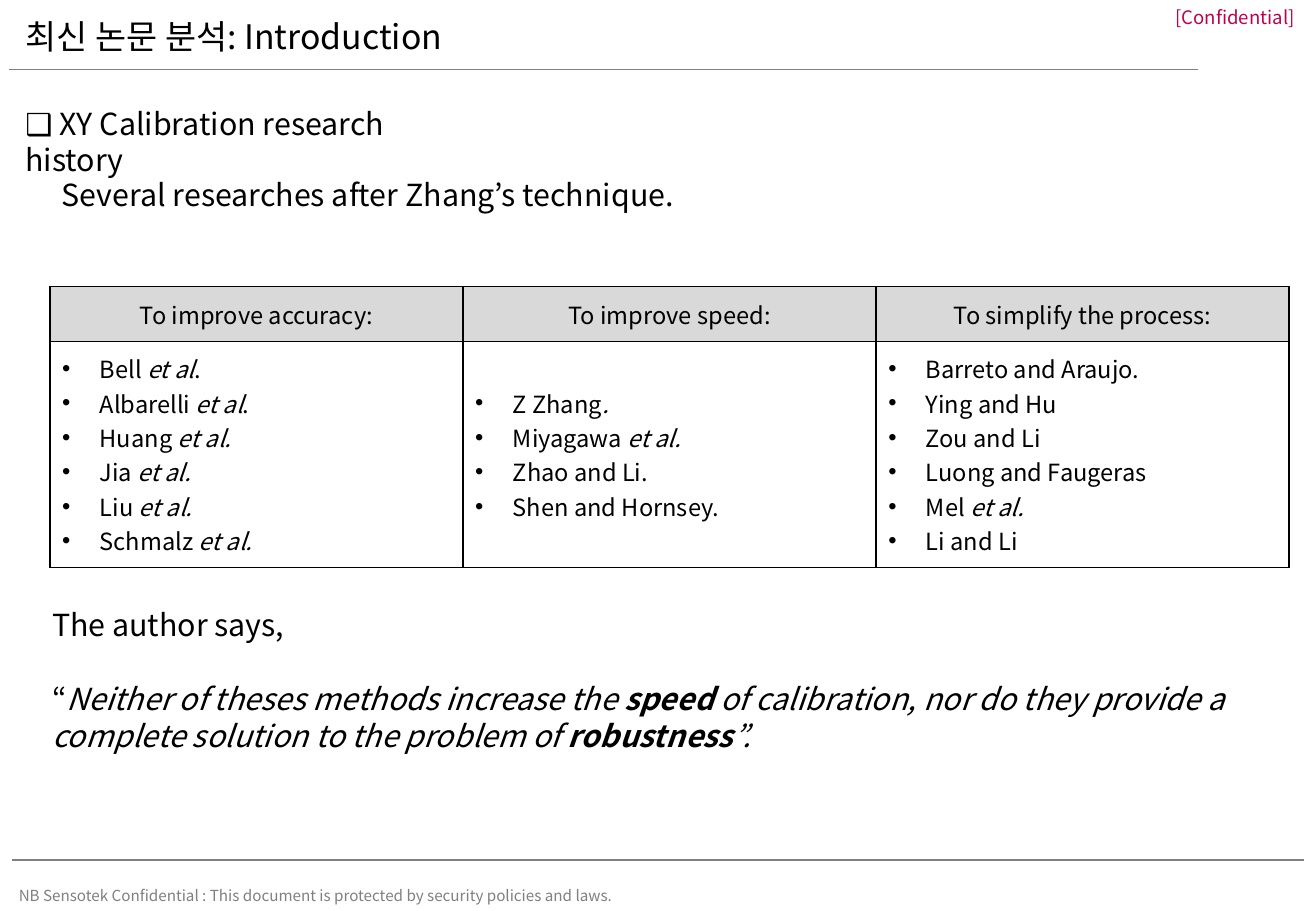
from dataclasses import dataclass

from lxml import etree
from pptx import Presentation
from pptx.dml.color import RGBColor
from pptx.enum.shapes import MSO_CONNECTOR
from pptx.enum.text import MSO_ANCHOR, MSO_AUTO_SIZE, PP_ALIGN
from pptx.oxml.ns import qn
from pptx.util import Inches, Pt

LEFT, CENTER, RIGHT = PP_ALIGN.LEFT, PP_ALIGN.CENTER, PP_ALIGN.RIGHT
TOP, MIDDLE = MSO_ANCHOR.TOP, MSO_ANCHOR.MIDDLE
STRAIGHT = MSO_CONNECTOR.STRAIGHT
NO_FIT = MSO_AUTO_SIZE.NONE
TITLE_ONLY = 5


@dataclass(frozen=True)
class Theme:
    font: str = "Noto Sans CJK KR"
    ink: str = "000000"
    grey: str = "808080"
    accent: str = "C0004B"
    header: str = "D9D9D9"
    title: float = 20
    body: float = 18
    cell: float = 14
    tag: float = 11
    footer: float = 9
    body_pitch: float = 21.8
    cell_pitch: float = 20.4
    bullet_indent: float = 0.31


class Deck:
    """Positions are percentages of the slide's width and height."""

    def __init__(self, theme, width, height):
        self.theme = theme
        self.prs = Presentation()
        self.prs.slide_width, self.prs.slide_height = Inches(width), Inches(height)
        self.slide = self.prs.slides.add_slide(self.prs.slide_layouts[TITLE_ONLY])

    def x(self, share):
        return round(self.prs.slide_width * share / 100)

    def y(self, share):
        return round(self.prs.slide_height * share / 100)

    def box(self, x, y, w, h):
        return self.x(x), self.y(y), self.x(w), self.y(h)

    def style(self, r, size, color):
        r.font.size = Pt(size)
        r.font.name = self.theme.font
        r.font.color.rgb = RGBColor.from_string(color)
        etree.SubElement(r.font._element, qn("a:ea"), typeface=self.theme.font)

    def fill_paragraph(self, p, text, size, color, align=LEFT, pitch=None):
        """Underscores toggle italic, asterisks toggle bold."""
        p.alignment = align
        if pitch:
            p.line_spacing = Pt(pitch)
        for i, part in enumerate(text.split("_")):
            for j, piece in enumerate(part.split("*")):
                if piece:
                    r = p.add_run()
                    r.text = piece
                    self.style(r, size, color)
                    r.font.italic, r.font.bold = i % 2 == 1, j % 2 == 1

    def title(self, text, *place):
        sp = self.slide.shapes.title
        sp.left, sp.top, sp.width, sp.height = self.box(*place)
        tf = sp.text_frame
        tf.auto_size, tf.vertical_anchor = NO_FIT, MIDDLE
        p = tf.paragraphs[0]
        self.fill_paragraph(p, text, self.theme.title, self.theme.ink)
        p.line_spacing = 0.9

    def text(self, lines, *place, gap=0):
        tf = self.slide.shapes.add_textbox(*self.box(*place)).text_frame
        tf.word_wrap, tf.vertical_anchor = True, TOP
        t = self.theme
        for i, line in enumerate(lines):
            p = tf.add_paragraph() if i else tf.paragraphs[0]
            self.fill_paragraph(p, line, t.body, t.ink, pitch=t.body_pitch)
            if i:
                p.space_before = Pt(gap)

    def label(self, text, size, color, align, *place):
        tf = self.slide.shapes.add_textbox(*self.box(*place)).text_frame
        tf.word_wrap, tf.vertical_anchor = True, MIDDLE
        tf.margin_left = tf.margin_right = tf.margin_top = tf.margin_bottom = 0
        self.fill_paragraph(tf.paragraphs[0], text, size, color, align)

    def rule(self, x1, x2, y, weight):
        line = self.slide.shapes.add_connector(
            STRAIGHT, self.x(x1), self.y(y), self.x(x2), self.y(y))
        line.line.color.rgb = RGBColor.from_string(self.theme.grey)
        line.line.width = Pt(weight)
        etree.SubElement(line._element.spPr, qn("a:effectLst"))

    def bullet(self, p):
        pPr = p._p.get_or_add_pPr()
        indent = Inches(self.theme.bullet_indent)
        pPr.set("marL", str(indent))
        pPr.set("indent", str(-indent))
        etree.SubElement(pPr, qn("a:buFont"), typeface="Arial")
        etree.SubElement(pPr, qn("a:buChar"), char="•")

    def borders(self, cell):
        tcPr = cell._tc.get_or_add_tcPr()
        for i, side in enumerate(("lnL", "lnR", "lnT", "lnB")):
            ln = etree.Element(qn(f"a:{side}"), w=str(Pt(1)))
            fill = etree.SubElement(ln, qn("a:solidFill"))
            etree.SubElement(fill, qn("a:srgbClr"), val=self.theme.ink)
            tcPr.insert(i, ln)

    def table(self, columns, x, y, w, row_heights):
        t = self.theme
        frame = self.slide.shapes.add_table(
            2, len(columns), *self.box(x, y, w, sum(row_heights)))
        table = frame.table
        table.horz_banding = table.first_row = False
        for row, height in zip(table.rows, row_heights):
            row.height = self.y(height)
        for c, (heading, names) in enumerate(columns.items()):
            table.columns[c].width = self.x(w / len(columns))
            head, body = table.cell(0, c), table.cell(1, c)
            head.fill.solid()
            head.fill.fore_color.rgb = RGBColor.from_string(t.header)
            body.fill.background()
            for cell in (head, body):
                cell.vertical_anchor = MIDDLE
                self.borders(cell)
            self.fill_paragraph(
                head.text_frame.paragraphs[0], heading, t.cell, t.ink, CENTER)
            tf = body.text_frame
            for i, name in enumerate(names):
                p = tf.add_paragraph() if i else tf.paragraphs[0]
                self.bullet(p)
                self.fill_paragraph(p, name, t.cell, t.ink, pitch=t.cell_pitch)


RESEARCH = {
    "To improve accuracy:": [
        "Bell _et al_.", "Albarelli _et al_.", "Huang _et al._",
        "Jia _et al._", "Liu _et al._", "Schmalz _et al._"],
    "To improve speed:": [
        "Z Zhang_._", "Miyagawa _et al._", "Zhao and Li.", "Shen and Hornsey."],
    "To simplify the process:": [
        "Barreto and Araujo.", "Ying and Hu", "Zou and Li",
        "Luong and Faugeras", "Mel _et al._", "Li and Li"],
}
QUOTE = ("“_Neither of theses methods increase the *speed *of calibration, nor do "
         "they provide a complete solution to the problem of *robustness*”._")
FOOTER = ("NB Sensotek Confidential : This document is protected by "
          "security policies and laws.")


def main():
    theme = Theme()
    deck = Deck(theme, 10.83, 7.5)

    # Frame: footer, tag and rules
    deck.label(FOOTER, theme.footer, theme.grey, LEFT, 1.43, 96.67, 50, 3.33)
    deck.label("[Confidential]", theme.tag, theme.accent, RIGHT, 87.9, 0, 10.5, 3.73)
    deck.rule(0.65, 91.04, 7.6, 0.75)
    deck.rule(0.92, 99.08, 94.4, 1.5)

    # Title and introduction
    deck.title("최신 논문 분석: Introduction", 1.02, 1.2, 56.69, 6.13)
    deck.text(["❑ XY Calibration research history"], 1.02, 10.8, 36.66, 5.33)
    deck.text(["Several researches after Zhang’s technique."], 3.79, 18.67, 90.86, 5.33)

    # Research by goal
    deck.table(RESEARCH, 3.79, 31.47, 94.18, (6, 24.8))

    # Author's conclusion
    deck.text(["The author says,", QUOTE], 3.05, 65.87, 92.43, 17.47,
              gap=theme.body_pitch)

    deck.prs.save("out.pptx")


if __name__ == "__main__":
    main()
